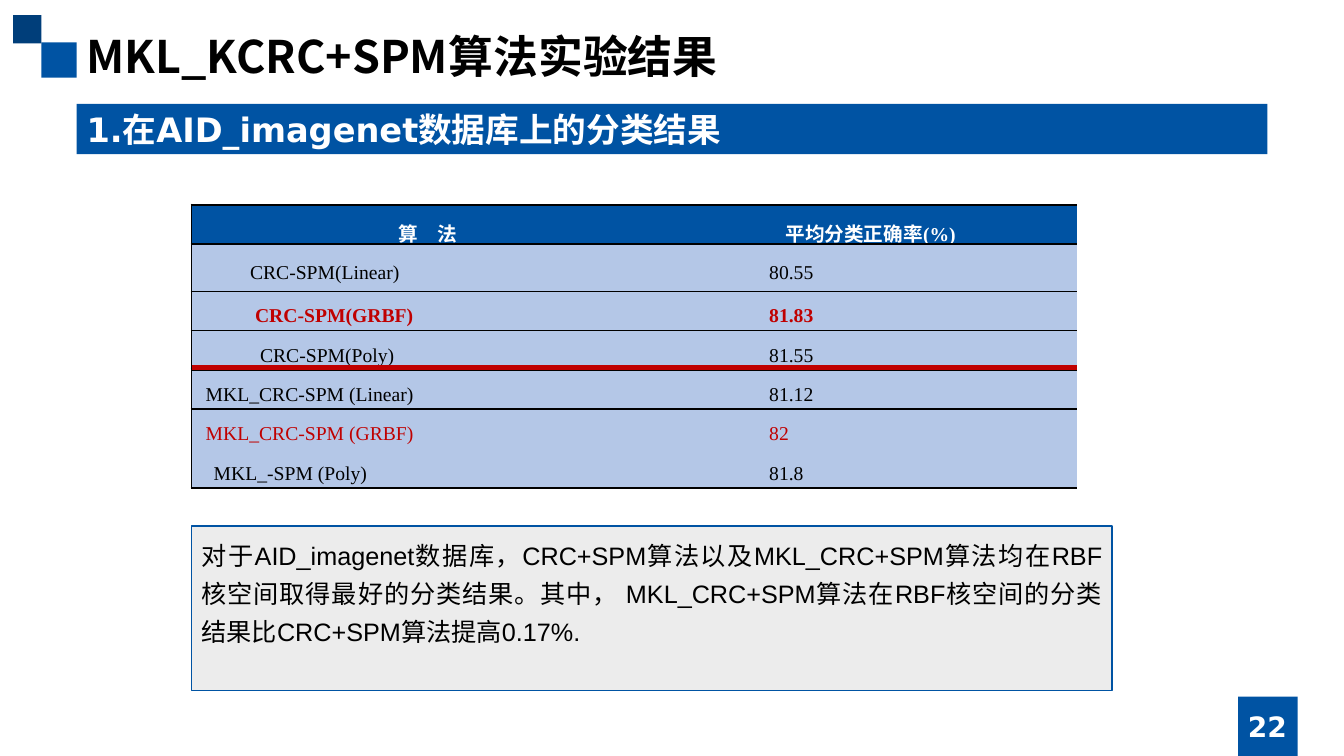
from dataclasses import dataclass

from lxml import etree
from pptx import Presentation
from pptx import util as u
from pptx.dml.color import RGBColor
from pptx.enum import shapes, text
from pptx.oxml import ns


@dataclass(frozen=True)
class Theme:
    blue: str = "0053A3"
    navy: str = "003E7A"
    pale: str = "B4C7E7"
    gray: str = "ECECEC"
    red: str = "C00000"
    black: str = "000000"
    white: str = "FFFFFF"
    title: int = 32
    head: int = 24
    page: int = 20
    body: int = 18
    cell: int = 14
    cjk: str = "Noto Sans CJK SC"
    sans: str = "DejaVu Sans"
    plain: str = "Arial"
    serif: str = "Times New Roman"


T = Theme()
ALIGN = text.PP_ALIGN
ANCHOR = text.MSO_ANCHOR
NO_GRID = "{2D5ABB26-0587-4C30-8999-92F81FD0307C}"

# label, first-line indent, value, colour, bold
ROWS = [
    ("CRC-SPM(Linear)", 0.51, "80.55", T.black, False),
    ("CRC-SPM(GRBF)", 0.56, "81.83", T.red, True),
    ("CRC-SPM(Poly)", 0.61, "81.55", T.black, False),
    ("MKL_CRC-SPM (Linear)", 0.07, "81.12", T.black, False),
    ("MKL_CRC-SPM (GRBF)", 0.07, "82", T.red, False),
    ("MKL_-SPM (Poly)", 0.15, "81.8", T.black, False),
]
# width of the rule below each table row, header first
RULES = {0: 1.5, 1: 1, 3: 2.25, 6: 1.5}


def rgb(code):
    return RGBColor.from_string(code)


def inch(box):
    return [u.Inches(v) for v in box]


def write(frame, words, size, font, color=T.black, bold=False,
          align=ALIGN.LEFT, lead=None, indent=0):
    """Fill the first paragraph of a text frame."""
    para = frame.paragraphs[0]
    para.alignment = align
    if lead:
        para.line_spacing = lead
    if indent:
        props = para._p.get_or_add_pPr()
        props.set("marL", "0")
        props.set("indent", str(u.Inches(indent)))
    run = para.add_run()
    run.text = words
    run.font.size = u.Pt(size)
    run.font.name = font
    run.font.bold = bold
    run.font.color.rgb = rgb(color)
    east = etree.SubElement(run._r.get_or_add_rPr(), ns.qn("a:ea"))
    east.set("typeface", T.cjk)


def rect(tree, box, fill, line=None):
    shape = tree.add_shape(shapes.MSO_SHAPE.RECTANGLE, *inch(box))
    shape.shadow.inherit = False
    shape.fill.solid()
    shape.fill.fore_color.rgb = rgb(fill)
    if line:
        shape.line.color.rgb = rgb(line)
        shape.line.width = u.Pt(1)
    else:
        shape.line.fill.background()
    return shape


def label(tree, box, words, size, font, anchor=ANCHOR.TOP, **style):
    frame = tree.add_textbox(*inch(box)).text_frame
    frame.word_wrap = True
    frame.vertical_anchor = anchor
    write(frame, words, size, font, **style)


def border(cell, **sides):
    """Draw black rules: each side is L, T or B with a width in points."""
    props = cell._tc.get_or_add_tcPr()
    names = [side for side in "LTB" if sides.get(side)]
    for place, side in enumerate(names):
        line = etree.Element(ns.qn("a:ln" + side), w=str(u.Pt(sides[side])))
        fill = etree.SubElement(line, ns.qn("a:solidFill"))
        etree.SubElement(fill, ns.qn("a:srgbClr"), val=T.black)
        props.insert(place, line)


def header(tree, box):
    left, top, width, _ = box
    rect(tree, (left - 0.35, top + 0.18, 0.35, 0.35), T.blue)
    rect(tree, (left - 0.63, top - 0.09, 0.28, 0.28), T.navy)
    label(tree, (left, top, width, 0.64), "MKL_KCRC+SPM算法实验结果",
          T.title, T.cjk, bold=True)
    bar = rect(tree, (left, top + 0.79, width, 0.5), T.blue)
    bar.text_frame.vertical_anchor = ANCHOR.TOP
    write(bar.text_frame, "1.在AID_imagenet数据库上的分类结果",
          T.head, T.sans, color=T.white, bold=True)


def results(tree, box):
    left, top, width, _ = box
    grid = tree.add_table(len(ROWS) + 1, 3, *inch(box)).table
    style = grid._tbl.tblPr.find(ns.qn("a:tableStyleId"))
    style.text = NO_GRID
    for col, wide in zip(grid.columns, (4.69, 0.51, 3.58)):
        col.width = u.Inches(wide)
    for num, row in enumerate(grid.rows):
        row.height = u.Inches(0.47 if num == 1 else 0.39)
        for spot, cell in enumerate(row.cells):
            cell.fill.solid()
            cell.fill.fore_color.rgb = rgb(T.pale if num else T.blue)
            cell.vertical_anchor = ANCHOR.MIDDLE
            cell.margin_left = cell.margin_right = u.Inches(0.07)
            cell.margin_top = cell.margin_bottom = 0
            border(cell, L=0 if spot else 1.5,
                   T=RULES.get(num - 1, 0) if num else 1.5,
                   B=RULES.get(num, 0))

    def put(row, col, words, **form):
        write(grid.cell(row, col).text_frame, words, T.cell, T.serif,
              lead=1.5, **form)

    grid.cell(0, 1).merge(grid.cell(0, 2))
    for col, words in enumerate(("算　法", "平均分类正确率(%)")):
        put(0, col, words, color=T.white, bold=True, align=ALIGN.CENTER)
    for num, (name, indent, value, color, bold) in enumerate(ROWS, 1):
        grid.cell(num, 0).merge(grid.cell(num, 1))
        form = dict(color=color, bold=bold, align=ALIGN.JUSTIFY)
        put(num, 0, name, indent=indent, **form)
        put(num, 2, value, indent=0.46, **form)

    level = top + 1.62
    rule = tree.add_connector(shapes.MSO_CONNECTOR.STRAIGHT,
                              *inch((left, level, left + width, level)))
    rule.line.color.rgb = rgb(T.red)
    rule.line.width = u.Pt(3.5)
    etree.SubElement(rule._element.spPr, ns.qn("a:effectLst"))


def summary(tree, box):
    left, top, width, _ = box
    group = tree.add_group_shape().shapes
    rect(group, box, T.gray, line=T.blue)
    label(group, (left, top + 0.02, width, 1.24),
          "对于AID_imagenet数据库，CRC+SPM算法以及MKL_CRC+SPM算法均在"
          "RBF核空间取得最好的分类结果。其中， MKL_CRC+SPM算法在RBF核空间"
          "的分类结果比CRC+SPM算法提高0.17%.",
          T.body, T.plain, align=ALIGN.JUSTIFY, lead=1.25)


def footer(tree, box):
    left, top, _, _ = box
    rect(tree, box, T.blue)
    label(tree, (left - 0.47, top + 0.1, 1.52, 0.4), "22", T.page, T.sans,
          anchor=ANCHOR.MIDDLE, color=T.white, bold=True,
          align=ALIGN.CENTER)


def main():
    deck = Presentation()
    deck.slide_width, deck.slide_height = inch((13.33, 7.5))
    tree = deck.slides.add_slide(deck.slide_layouts[6]).shapes
    header(tree, (0.76, 0.24, 11.81, 1.29))
    results(tree, (1.9, 2.03, 8.78, 2.81))
    summary(tree, (1.9, 5.22, 9.13, 1.63))
    footer(tree, (12.28, 6.91, 0.59, 0.59))
    deck.save("out.pptx")


if __name__ == "__main__":
    main()
